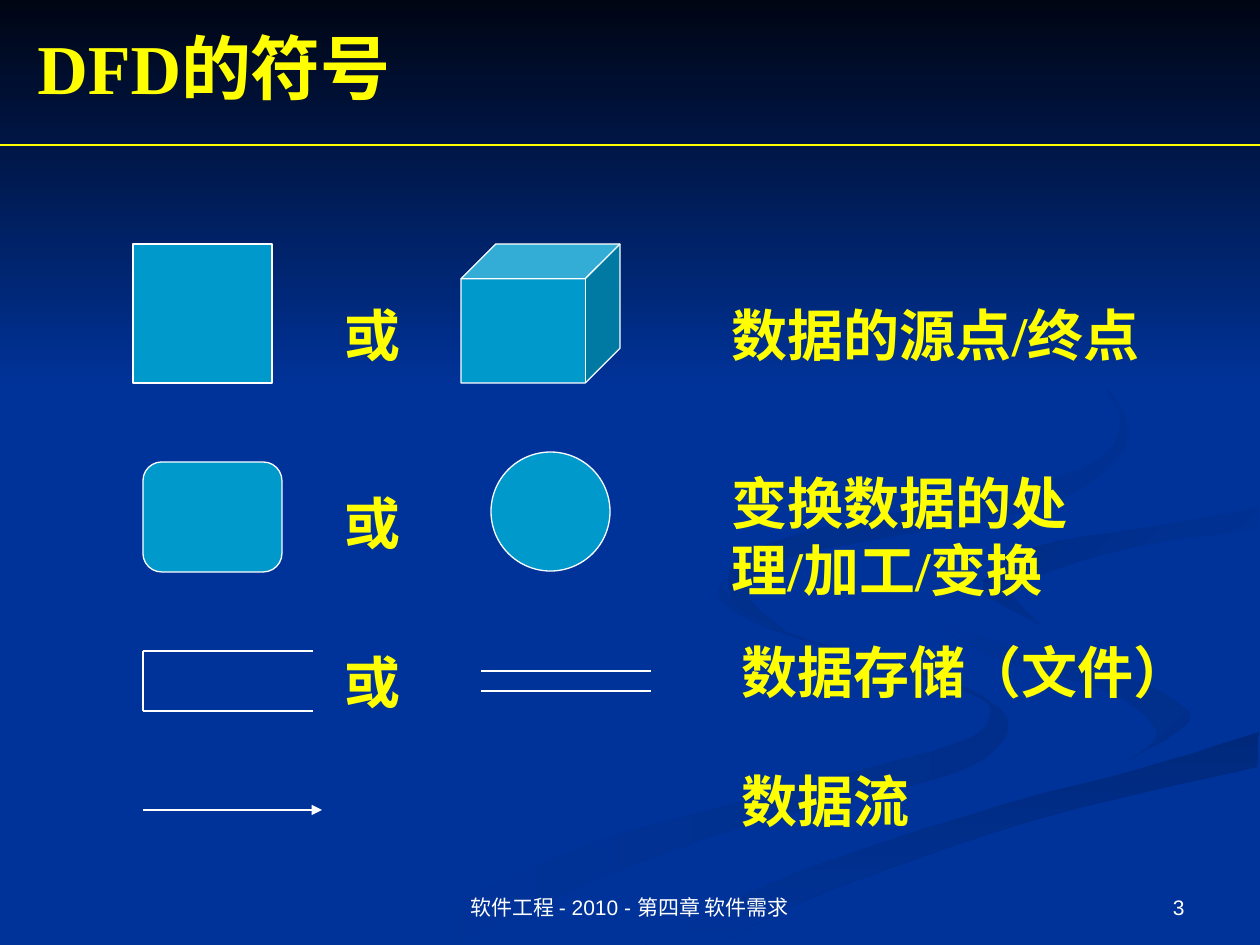
"""Build the slide on the symbols of data flow diagrams."""
from dataclasses import dataclass

from lxml import etree
from pptx import Presentation, util as u
from pptx.dml.color import RGBColor
from pptx.enum import shapes, text
from pptx.oxml.ns import qn

PX = 914400 / 126
WIDTH, HEIGHT = 1260, 945
KIND = shapes.MSO_SHAPE
ALIGN = text.PP_ALIGN
ANCHOR = text.MSO_ANCHOR


@dataclass(frozen=True)
class Theme:
    ground: str = "003399"
    night: str = "000514"
    curl: str = "002E8A"
    band: str = "00297C"
    fold: str = "002C85"
    wisp: str = "002B81"
    symbol: str = "0099CC"
    outline: str = "FFFFFF"
    accent: str = "FFFF00"
    line_width: float = 0.75
    title_size: int = 40
    label_size: int = 32
    footer_size: int = 12
    serif: str = "Times New Roman"
    sans: str = "Arial"


THEME = Theme()
TITLE = dict(name=THEME.serif, size=u.Pt(THEME.title_size), bold=True, color=THEME.accent)
LABEL = {**TITLE, "size": u.Pt(THEME.label_size)}
FOOTER = dict(name=THEME.sans, size=u.Pt(THEME.footer_size), bold=False, color=THEME.outline)

EDGES = dict(
    hook_outer=[(725, 578), (721, 600), (770, 629), (878, 662), (970, 694), (990, 713),
                (956, 743), (776, 793), (577, 849), (378, 944)],
    hook_inner=[(455, 944), (629, 866), (785, 815), (953, 774), (1008, 732), (984, 697),
                (901, 665), (789, 633), (730, 596), (725, 578)],
    curl_outer=[(912, 585), (924, 609), (998, 641), (1119, 674), (1178, 702), (1187, 725),
                (1126, 762)],
    curl_inner=[(1126, 762), (1157, 732), (1109, 692), (1004, 660), (931, 622), (912, 585)],
    band_top=[(634, 944), (654, 941), (794, 873), (1004, 804), (1138, 769), (1259, 732)],
    band_bottom=[(1257, 767), (1034, 820), (818, 895), (719, 944)],
    ribbon_top=[(1259, 488), (1159, 505), (1046, 523), (935, 553), (912, 585)],
    ribbon_tail=[(1126, 762), (936, 810), (722, 886), (601, 944)],
    ribbon_inside=[(1259, 678), (1139, 654), (1013, 611), (984, 580)],
    fold_top=[(984, 580), (1036, 547), (1176, 523), (1259, 507)],
    fold_bottom=[(1257, 529), (1129, 548), (1023, 582), (1014, 597), (1041, 625)],
    fold_tip=[(1041, 625), (990, 597), (984, 580)],
    wisp_inner=[(960, 294), (1062, 347), (1121, 408), (1120, 456), (1040, 507), (861, 542),
                (786, 559), (747, 592), (784, 630)],
    wisp_outer=[(784, 630), (736, 604), (736, 562), (818, 529), (997, 494), (1096, 460),
                (1119, 413), (1066, 352), (960, 294)])
SWIRLS = (
    ("hook_outer hook_inner", (THEME.curl, THEME.ground), 180),
    ("curl_outer curl_inner", (THEME.curl, THEME.ground), 225),
    ("band_top band_bottom", (THEME.band, THEME.ground), 90),
    ("ribbon_top curl_outer ribbon_tail band_top ribbon_inside fold_top",
     (THEME.ground, THEME.ground), 0),
    ("fold_top fold_bottom fold_tip", (THEME.ground, THEME.fold), 225),
    ("wisp_inner wisp_outer", (THEME.ground, THEME.wisp), 225))


def emu(*lengths):
    return [u.Emu(round(length * PX)) for length in lengths]


def apply(target, values):
    for name, value in values.items():
        setattr(target, name, value)


def smooth(knots, steps=5):
    """Return points on a Catmull-Rom curve through the knots."""
    padded = [knots[0], *knots, knots[-1]]
    points = []
    for before, start, end, after in zip(padded, padded[1:], padded[2:], padded[3:]):
        for step in range(steps):
            t = step / steps
            points.append(tuple(
                round(b + ((c - a) * t + (2 * a - 5 * b + 4 * c - d) * t ** 2
                           + (3 * b - a - 3 * c + d) * t ** 3) / 2)
                for a, b, c, d in zip(before, start, end, after)))
    return points + [knots[-1]]


class Painter:
    """Hold the theme and the page, and draw each kind of element."""

    def __init__(self, theme, page):
        self.theme, self.page = theme, page
        self.flat(page.background.fill, theme.ground)

    def flat(self, fill, color):
        fill.solid()
        fill.fore_color.rgb = RGBColor.from_string(color)

    def outline(self, line, color):
        line.color.rgb = RGBColor.from_string(color)
        line.width = u.Pt(self.theme.line_width)

    def blend(self, shape, colors, angle):
        shape.shadow.inherit = False
        shape.line.fill.background()
        shape.fill.gradient()
        shape.fill.gradient_angle = -angle % 360
        for position, (stop, color) in enumerate(zip(shape.fill.gradient_stops, colors)):
            stop.position = position
            stop.color.rgb = RGBColor.from_string(color)

    def swirl(self, edges, colors, angle):
        points = [point for edge in edges for point in smooth(EDGES[edge])]
        builder = self.page.shapes.build_freeform(*points[0], scale=PX)
        builder.add_line_segments(points[1:], close=True)
        self.blend(builder.convert_to_shape(), colors, angle)

    def sky(self, height):
        shape = self.page.shapes.add_shape(KIND.RECTANGLE, *emu(0, 0, WIDTH, height))
        self.blend(shape, (self.theme.night, self.theme.ground), 90)

    def symbol(self, kind, *place, adjust=None):
        shape = self.page.shapes.add_shape(kind, *emu(*place))
        shape.shadow.inherit = False
        self.flat(shape.fill, self.theme.symbol)
        self.outline(shape.line, self.theme.outline)
        if adjust is not None:
            shape.adjustments[0] = adjust

    def line(self, *ends, color=None, arrow=False):
        line = self.page.shapes.add_connector(shapes.MSO_CONNECTOR.STRAIGHT, *emu(*ends))
        self.outline(line.line, color or self.theme.outline)
        properties = line._element.spPr
        if arrow:
            etree.SubElement(properties.find(qn("a:ln")), qn("a:tailEnd"), type="triangle")
        etree.SubElement(properties, qn("a:effectLst"))

    def text(self, words, *place, style=LABEL, align=ALIGN.LEFT, anchor=ANCHOR.TOP):
        box = self.page.shapes.add_textbox(*emu(*place))
        apply(box.text_frame, dict(word_wrap=True, vertical_anchor=anchor))
        para = box.text_frame.paragraphs[0]
        para.alignment = align
        span = para.add_run()
        span.text = words
        apply(span.font, {key: value for key, value in style.items() if key != "color"})
        span.font.color.rgb = RGBColor.from_string(style["color"])


def draw_backdrop(painter):
    for edges, colors, angle in SWIRLS:
        painter.swirl(edges.split(), colors, angle)
    painter.sky(388)


def draw_symbols(painter):
    painter.symbol(KIND.RECTANGLE, 133, 244, 139, 139)
    painter.symbol(KIND.CUBE, 461, 244, 159, 139, adjust=0.25)
    painter.symbol(KIND.ROUNDED_RECTANGLE, 143, 462, 139, 110, adjust=0.17)
    painter.symbol(KIND.OVAL, 491, 452, 119, 119)

    left, store_top, store_bottom, store_width = 143, 651, 711, 170
    painter.line(left, store_top, left, store_bottom)
    for start, levels in ((left, (store_top, store_bottom)), (481, (671, 691))):
        for level in levels:
            painter.line(start, level, start + store_width, level)
    painter.line(left, 810, 322, 810, arrow=True)


def draw_words(painter):
    painter.text("DFD的符号", 25, 18, 1134, 97, style=TITLE, anchor=ANCHOR.MIDDLE)
    painter.line(0, 145, WIDTH, 145, color=THEME.accent)
    for top in (294, 482, 641):
        painter.text("或", 332, top, 89, 81)
    for words, left, top, height in (
            ("数据的源点/终点", 719, 294, 81),
            ("变换数据的处理/加工/变换", 719, 462, 147),
            ("数据存储（文件）", 729, 631, 81),
            ("数据流", 729, 760, 81)):
        painter.text(words, left, top, 486, height)
    for words, left, width, align in (
            ("软件工程 - 2010 - 第四章 软件需求", 430, 399, ALIGN.CENTER),
            ("3", 903, 294, ALIGN.RIGHT)):
        painter.text(words, left, 861, width, 65, style=FOOTER, align=align, anchor=ANCHOR.BOTTOM)


def main():
    deck = Presentation()
    apply(deck, dict(zip(("slide_width", "slide_height"), emu(WIDTH, HEIGHT))))
    painter = Painter(THEME, deck.slides.add_slide(deck.slide_layouts[6]))
    for draw in (draw_backdrop, draw_symbols, draw_words):
        draw(painter)
    deck.save("out.pptx")


if __name__ == "__main__":
    main()
